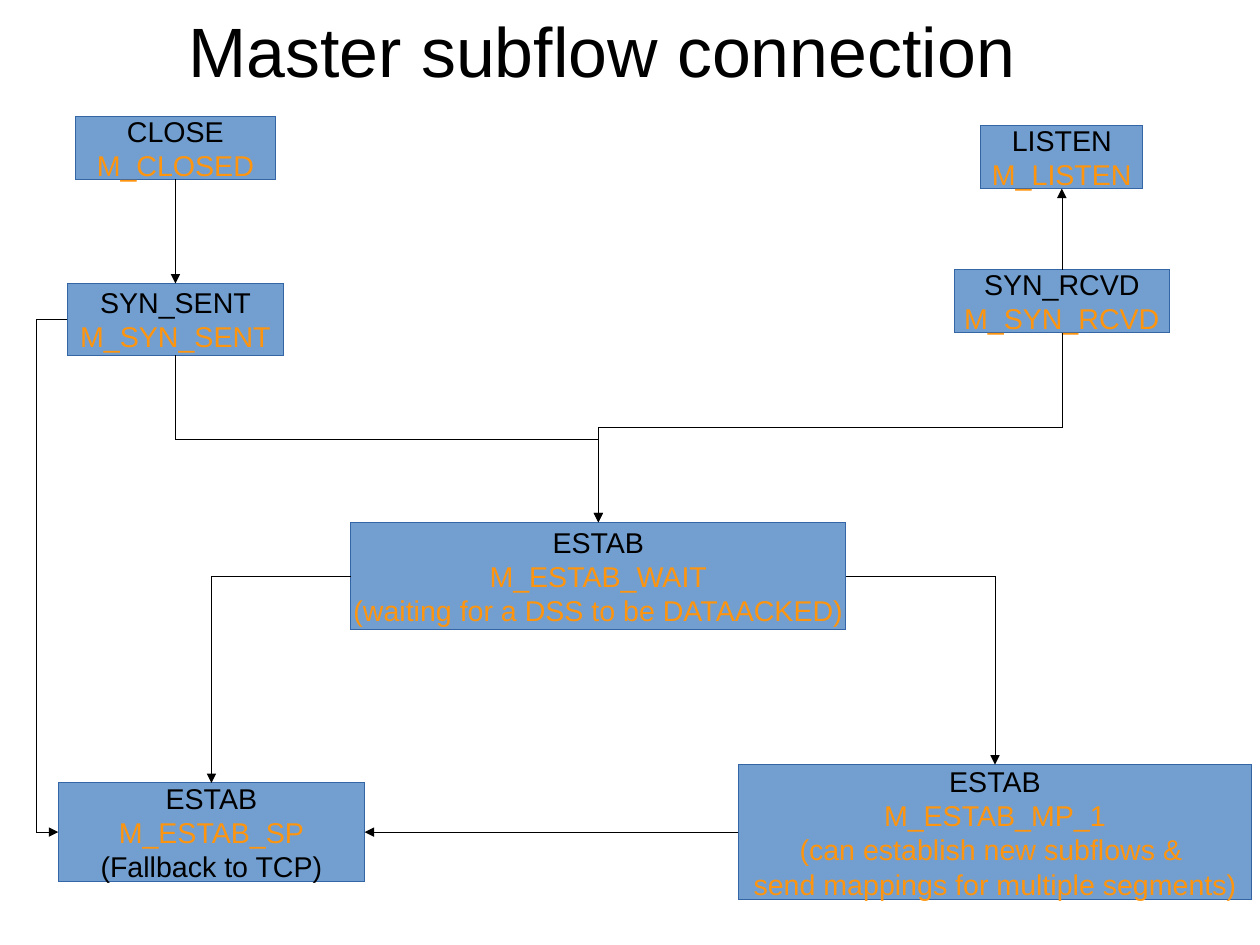
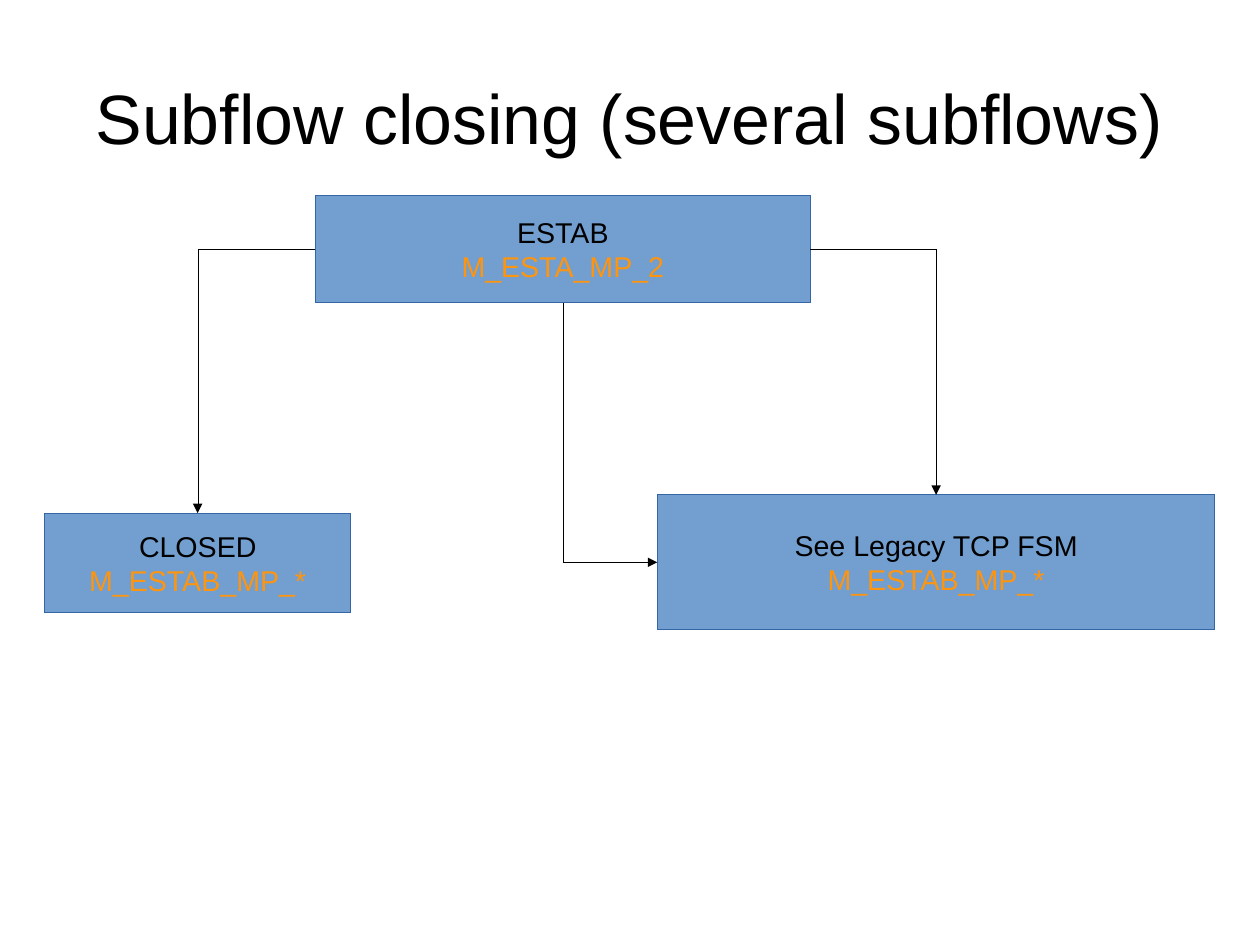
from dataclasses import dataclass

from pptx import Presentation
from pptx.dml.color import RGBColor
from pptx.enum import shapes, text
from pptx.oxml.ns import qn
from pptx.util import Cm, Inches, Pt

TOP, LEFT, BOTTOM, RIGHT = range(4)


@dataclass(frozen=True)
class Theme:
    font: str = "Arial"
    head: int = 44
    body: int = 18
    ink: str = "000000"
    accent: str = "FF950E"
    fill: str = "729FCF"
    edge: str = "3465A4"


@dataclass(frozen=True)
class Box:
    """A state: its TCP name, accented lines, then an optional plain line."""
    key: str
    area: tuple[float, float, float, float]
    name: str
    states: tuple[str, ...]
    note: str = ""


@dataclass(frozen=True)
class Link:
    """An arrow between box sides; lane is the x of a detour."""
    start: str
    out: int
    end: str
    into: int
    lane: float | None = None


@dataclass(frozen=True)
class Page:
    title: str
    area: tuple[float, float, float, float]
    boxes: tuple[Box, ...]
    links: tuple[Link, ...]


THEME = Theme()

PAGES = (
    Page(
        "Master subflow connection", (0.31, 0, 9.92, 0.87),
        (
            Box("wait", (3.07, 4.57, 4.33, 0.94), "ESTAB",
                ("M_ESTAB_WAIT", "(waiting for a DSS to be DATAACKED)")),
            Box("sent", (0.59, 2.48, 1.89, 0.63), "SYN_SENT", ("M_SYN_SENT",)),
            Box("rcvd", (8.35, 2.36, 1.88, 0.55), "SYN_RCVD", ("M_SYN_RCVD",)),
            Box("multi", (6.46, 6.69, 4.49, 1.18), "ESTAB",
                ("M_ESTAB_MP_1", "(can establish new subflows & ",
                 "send mappings for multiple segments)")),
            Box("single", (0.51, 6.85, 2.68, 0.86), "ESTAB", ("M_ESTAB_SP",),
                "(Fallback to TCP)"),
            Box("listen", (8.58, 1.1, 1.42, 0.55), "LISTEN", ("M_LISTEN",)),
            Box("close", (0.66, 1.02, 1.75, 0.55), "CLOSE", ("M_CLOSED",)),
        ),
        (
            Link("sent", BOTTOM, "wait", TOP),
            Link("rcvd", BOTTOM, "wait", TOP),
            Link("wait", LEFT, "single", TOP),
            Link("wait", RIGHT, "multi", TOP),
            Link("multi", LEFT, "single", RIGHT),
            Link("close", BOTTOM, "sent", TOP),
            Link("rcvd", TOP, "listen", BOTTOM),
            Link("sent", LEFT, "single", LEFT, lane=0.32),
        ),
    ),
    Page(
        "Subflow closing (several subflows)", (0.55, 0.33, 9.92, 1.38),
        (
            Box("estab", (2.76, 1.71, 4.33, 0.94), "ESTAB", ("M_ESTA_MP_2",)),
            Box("closed", (0.39, 4.49, 2.68, 0.87), "CLOSED", ("M_ESTAB_MP_*",)),
            Box("legacy", (5.75, 4.33, 4.88, 1.18), "See Legacy TCP FSM",
                ("M_ESTAB_MP_*",)),
        ),
        (
            Link("estab", LEFT, "closed", TOP),
            Link("estab", RIGHT, "legacy", TOP),
            Link("estab", BOTTOM, "legacy", LEFT),
        ),
    ),
)


def color(code: str) -> RGBColor:
    return RGBColor.from_string(code)


def write(frame, lines, *, size: int, pad=(0, 0), wrap: bool = True) -> None:
    """Fill a frame with centred (text, colour) lines."""
    frame.auto_size = text.MSO_AUTO_SIZE.NONE
    frame.word_wrap = wrap
    frame.vertical_anchor = text.MSO_ANCHOR.MIDDLE
    frame.margin_left = frame.margin_right = Inches(pad[0])
    frame.margin_top = frame.margin_bottom = Inches(pad[1])
    for i, (line, ink) in enumerate(lines):
        para = frame.paragraphs[0] if i == 0 else frame.add_paragraph()
        para.alignment = text.PP_ALIGN.CENTER
        run = para.add_run()
        run.text = line
        run.font.name = THEME.font
        run.font.size = Pt(size)
        run.font.color.rgb = color(ink)


def outline(shape, ink: str):
    """Give a hairline; an explicit zero width overrides the theme's."""
    shape.line.color.rgb = color(ink)
    stroke = shape._element.spPr.find(qn("a:ln"))
    stroke.set("w", "0")
    return stroke


def add_title(slide, page: Page) -> None:
    title = slide.shapes.title
    title.left, title.top, title.width, title.height = map(Inches, page.area)
    write(title.text_frame, [(page.title, THEME.ink)], size=THEME.head)


def add_box(slide, box: Box):
    shape = slide.shapes.add_shape(
        shapes.MSO_SHAPE.RECTANGLE, *map(Inches, box.area))
    shape.shadow.inherit = False
    shape.fill.solid()
    shape.fill.fore_color.rgb = color(THEME.fill)
    outline(shape, THEME.edge)
    lines = [(box.name, THEME.ink)]
    lines += [(state, THEME.accent) for state in box.states]
    if box.note:
        lines.append((box.note, THEME.ink))
    write(shape.text_frame, lines, size=THEME.body, pad=(0.1, 0.05), wrap=False)
    return shape


def bend(line, link: Link) -> None:
    """Set the elbow's preset, turn and detour from the sides it joins."""
    form = line._element.spPr
    dx, dy = line.end_x - line.begin_x, line.end_y - line.begin_y
    if link.out % 2 != link.into % 2:
        form.prstGeom.set("prst", "bentConnector2")
    if link.out == BOTTOM:
        mid_x, mid_y = line.begin_x + dx // 2, line.begin_y + dy // 2
        line.width, line.height = abs(dy), abs(dx)
        line.left, line.top = mid_x - abs(dy) // 2, mid_y - abs(dx) // 2
        frame = form.find(qn("a:xfrm"))
        frame.set("rot", str(90 * 60000))
        frame.set("flipH", "0")
        frame.set("flipV", str(int(dx > 0)))
    if link.lane is not None:
        ratio = (Inches(link.lane) - line.begin_x) / dx
        guides = form.prstGeom.get_or_add_avLst()
        guide = guides.makeelement(
            qn("a:gd"), {"name": "adj1", "fmla": f"val {round(ratio * 100000)}"})
        guides.append(guide)


def add_link(slide, link: Link, nodes: dict) -> None:
    start, end = nodes[link.start], nodes[link.end]
    gap = abs((start.left + start.width / 2) - (end.left + end.width / 2))
    sides = {link.out, link.into}
    flat = sides == {LEFT, RIGHT} or (
        sides == {TOP, BOTTOM} and gap < Inches(0.02))
    kind = shapes.MSO_CONNECTOR.STRAIGHT if flat else shapes.MSO_CONNECTOR.ELBOW
    line = slide.shapes.add_connector(kind, 0, 0, 0, 0)
    line.begin_connect(start, link.out)
    line.end_connect(end, link.into)
    if not flat:
        bend(line, link)
    stroke = outline(line, THEME.ink)
    stroke.append(stroke.makeelement(qn("a:tailEnd"), {"type": "triangle"}))
    form = line._element.spPr
    form.append(form.makeelement(qn("a:effectLst"), {}))


def main() -> None:
    deck = Presentation()
    deck.slide_width, deck.slide_height = Cm(28), Cm(21)
    for page in PAGES:
        slide = deck.slides.add_slide(deck.slide_layouts[5])
        add_title(slide, page)
        nodes = {box.key: add_box(slide, box) for box in page.boxes}
        for link in page.links:
            add_link(slide, link, nodes)
    deck.save("out.pptx")


if __name__ == "__main__":
    main()
